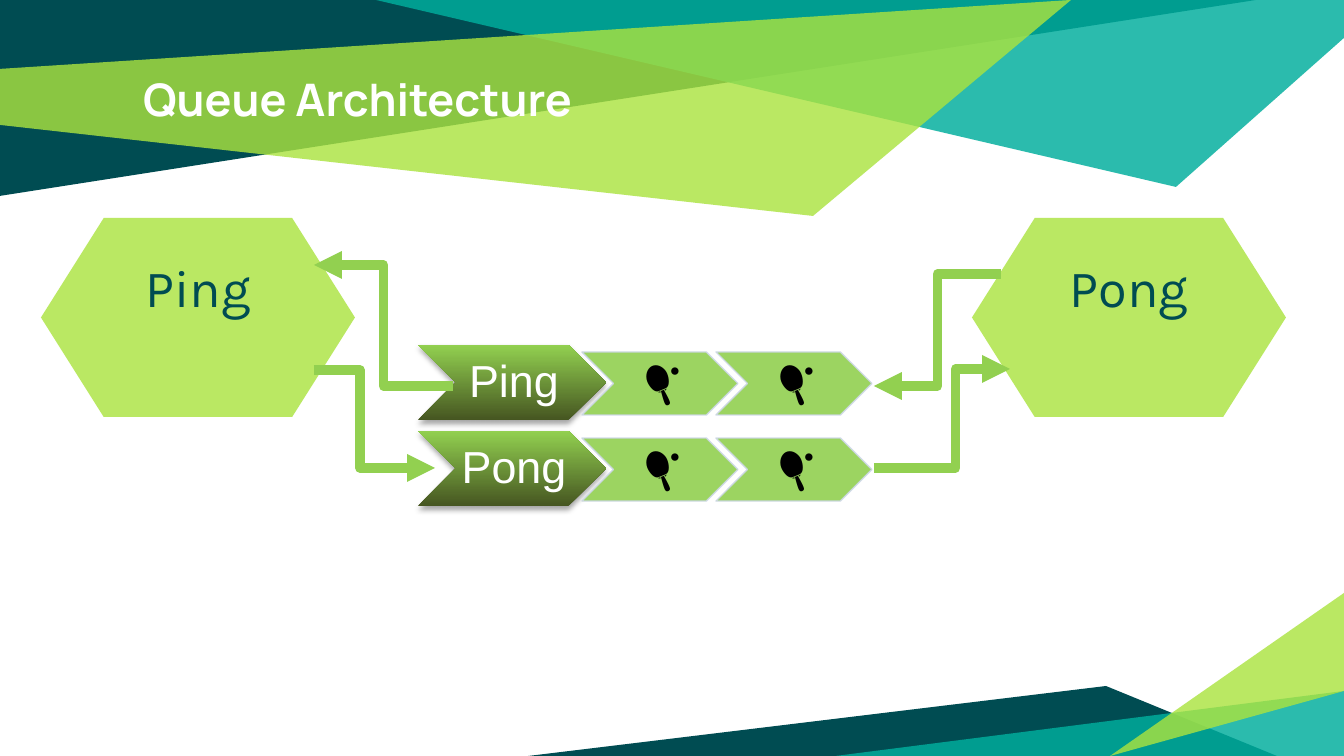
from lxml.etree import SubElement
from pptx import Presentation
from pptx.dml.color import RGBColor
from pptx.enum.shapes import MSO_CONNECTOR, MSO_SHAPE
from pptx.enum.text import MSO_ANCHOR, PP_ALIGN
from pptx.oxml.ns import qn
from pptx.util import Pt

SCALE = 914400 / 134.4
COLORS = {
    "navy": "004C52", "teal": "00AE9D", "lime": "ABE33F", "green": "92D050",
    "moss": "465621", "edge": "CED8E7", "white": "FFFFFF", "black": "000000",
}


def px(*lengths):
    return [round(length * SCALE) for length in lengths]


def paint(shape, color, opacity=100, edge=None):
    """Fill a shape flat, with an optional thin edge of the same opacity."""
    shape.shadow.inherit = False
    shape.fill.solid()
    shape.fill.fore_color.rgb = RGBColor.from_string(COLORS[color])
    if edge:
        shape.line.color.rgb = RGBColor.from_string(COLORS[edge])
        shape.line.width = Pt(0.75)
    else:
        shape.line.fill.background()
    if opacity < 100:
        for tint in shape.element.spPr.iter(qn("a:srgbClr")):
            SubElement(tint, qn("a:alpha"), val=str(opacity * 1000))


presentation = Presentation()
presentation.slide_width, presentation.slide_height = px(1344, 756)
slide = presentation.slides.add_slide(presentation.slide_layouts[5])
shapes = slide.shapes

# Background facets
facets = [
    ("navy", 100, [(0, 0), (0, 196), (1256, 0)]),
    ("teal", 83, [(376, 0), (1176, 187), (1344, 38), (1344, 0)]),
    ("lime", 81, [(0, 69), (0, 125), (813, 216), (1071, 0)]),
    ("navy", 100, [(528, 756), (1277, 756), (1106, 686)]),
    ("teal", 83, [(1344, 691), (1344, 756), (836, 756)]),
    ("lime", 81, [(1344, 691), (1344, 593), (1110, 756)]),
]
for color, opacity, points in facets:
    builder = shapes.build_freeform(*points[0], scale=SCALE)
    builder.add_line_segments(points[1:], close=True)
    paint(builder.convert_to_shape(), color, opacity)

# Title, brought in front of the facets
title = shapes.title
title.element.getparent().append(title.element)
title.left, title.top, title.width, title.height = px(130, 59, 1083, 126)
frame = title.text_frame
frame.vertical_anchor = MSO_ANCHOR.TOP
frame.margin_left, frame.margin_top, frame.margin_right, frame.margin_bottom = px(13, 13, 13, 13)
paragraph = frame.paragraphs[0]
paragraph.alignment = PP_ALIGN.LEFT
run = paragraph.add_run()
run.text = "Queue Architecture"
run.font.name, run.font.size, run.font.bold = "Manrope", Pt(24), True
run.font.color.rgb = RGBColor.from_string(COLORS["white"])

# Actors, with labels raised above the middle
for name, left in (("Ping", 41), ("Pong", 972)):
    actor = shapes.add_shape(MSO_SHAPE.FLOWCHART_PREPARATION, *px(left, 218, 314, 199))
    paint(actor, "lime", 81)
    frame = actor.text_frame
    frame.vertical_anchor = MSO_ANCHOR.MIDDLE
    frame.margin_left, frame.margin_top, frame.margin_right, frame.margin_bottom = px(13, 13, 13, 74)
    paragraph = frame.paragraphs[0]
    paragraph.alignment = PP_ALIGN.CENTER
    run = paragraph.add_run()
    run.text = name
    run.font.name, run.font.size = "Karla", Pt(28)
    run.font.color.rgb = RGBColor.from_string(COLORS["navy"])

# Queues: a named head followed by two messages
for row, name in enumerate(("Ping", "Pong")):
    top = 345 + 86 * row
    cells = [(name, 418, top, 188, 75, 24, "white")]
    cells += [("🏓", 582 + 134 * i, top + 7, 156, 63, 25, "black") for i in range(2)]
    for text, left, cell_top, width, height, size, color in cells:
        chevron = shapes.add_shape(MSO_SHAPE.CHEVRON, *px(left, cell_top, width, height))
        if text == name:
            paint(chevron, "moss")
            chevron.fill.gradient()
            chevron.fill.gradient_angle = 90
            for stop, tint, position in zip(chevron.fill.gradient_stops, ("moss", "green"), (0, 1)):
                stop.color.rgb = RGBColor.from_string(COLORS[tint])
                stop.position = position
            effects = chevron.element.spPr.find(qn("a:effectLst"))
            shadow = SubElement(effects, qn("a:outerShdw"), blurRad=str(Pt(3.1)),
                                dist=str(Pt(1.8)), dir="5400000", rotWithShape="0")
            tint = SubElement(shadow, qn("a:srgbClr"), val=COLORS["black"])
            SubElement(tint, qn("a:alpha"), val="35000")
        else:
            paint(chevron, "green", 90, "edge")

        label = shapes.add_textbox(*px(left + 0.2 * width, cell_top, 0.6 * width, height))
        frame = label.text_frame
        frame.word_wrap = True
        frame.vertical_anchor = MSO_ANCHOR.MIDDLE
        frame.margin_left, frame.margin_top, frame.margin_right, frame.margin_bottom = px(4, 3, 0, 3)
        paragraph = frame.paragraphs[0]
        paragraph.alignment = PP_ALIGN.CENTER
        paragraph.line_spacing = 0.9
        run = paragraph.add_run()
        run.text = text
        run.font.name, run.font.size = "Arial", Pt(size)
        run.font.color.rgb = RGBColor.from_string(COLORS[color])

# Elbow arrows: start, end and position of the bend
arrows = [
    ((453, 386), (314, 265), 0.5),
    ((314, 370), (435, 468), 0.38),
    ((1001, 274), (874, 386), 0.5),
    ((874, 468), (1010, 369), 0.6),
]
for start, end, bend in arrows:
    arrow = shapes.add_connector(MSO_CONNECTOR.ELBOW, *px(*start, *end))
    arrow.line.color.rgb = RGBColor.from_string(COLORS["green"])
    arrow.line.width = Pt(5)
    properties = arrow.element.spPr
    adjustments = properties.find(qn("a:prstGeom")).find(qn("a:avLst"))
    SubElement(adjustments, qn("a:gd"), name="adj1", fmla=f"val {round(bend * 100000)}")
    outline = properties.find(qn("a:ln"))
    SubElement(outline, qn("a:round"))
    SubElement(outline, qn("a:tailEnd"), type="triangle")
    SubElement(properties, qn("a:effectLst"))

presentation.save("out.pptx")
